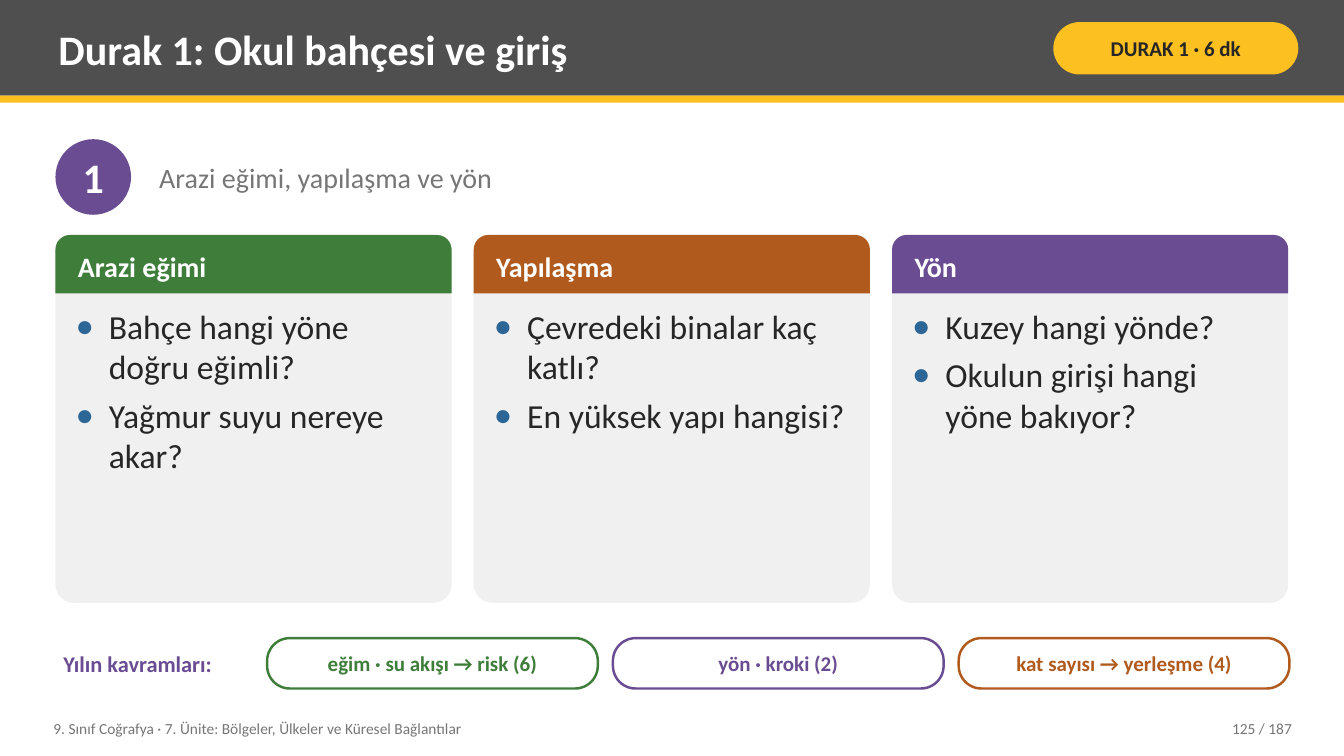
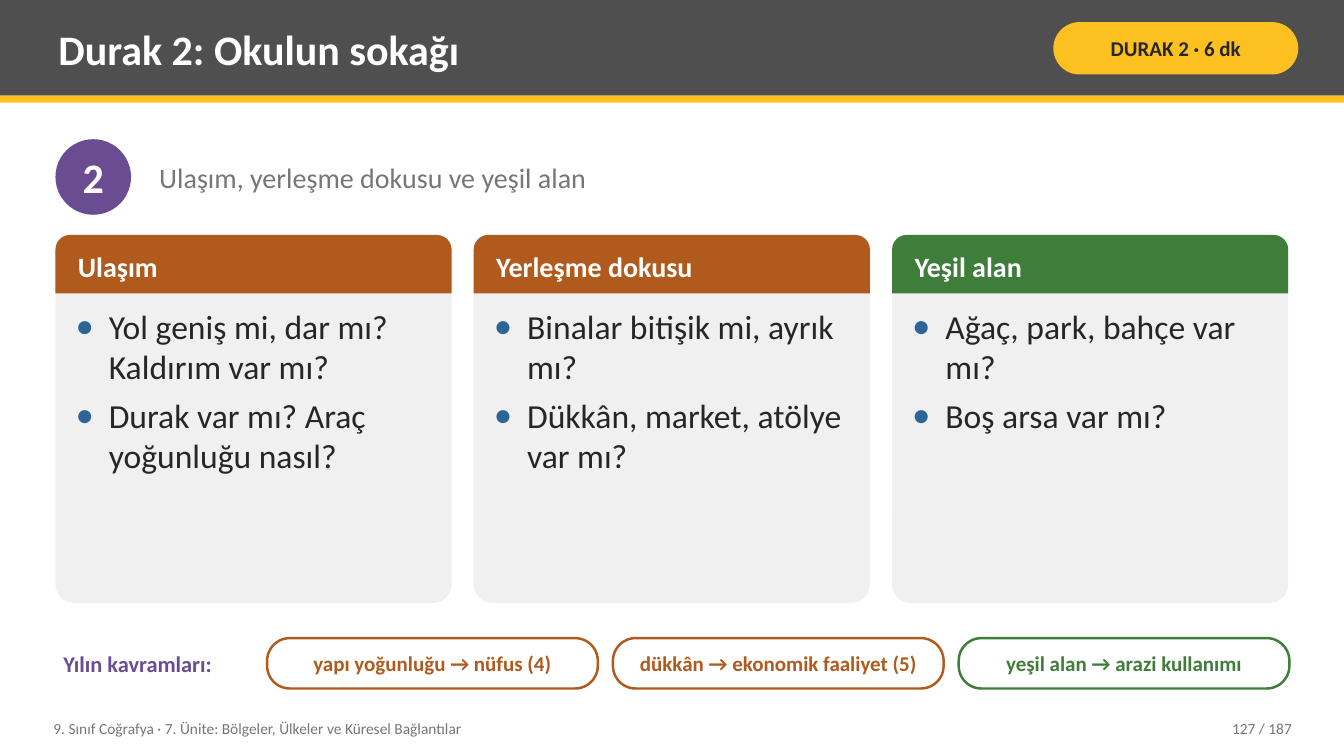
from lxml import etree
from pptx import Presentation
from pptx.dml.color import RGBColor
from pptx.enum.shapes import MSO_SHAPE
from pptx.enum.text import MSO_ANCHOR, MSO_AUTO_SIZE, PP_ALIGN
from pptx.oxml.ns import qn
from pptx.util import Pt

RECTANGLE = MSO_SHAPE.RECTANGLE
ROUNDED = MSO_SHAPE.ROUNDED_RECTANGLE
ROUNDED_TOP = MSO_SHAPE.ROUND_2_SAME_RECTANGLE
OVAL = MSO_SHAPE.OVAL
TOP, MIDDLE = MSO_ANCHOR.TOP, MSO_ANCHOR.MIDDLE
LEFT, CENTER, RIGHT = PP_ALIGN.LEFT, PP_ALIGN.CENTER, PP_ALIGN.RIGHT

FONT = "Calibri"
WHITE, INK, GRAY = "FFFFFF", "262626", "767676"
BAND, YELLOW, PANEL, BULLET = "4F4F4F", "FCC021", "F0F0F0", "2C6696"
GREEN, ORANGE, PURPLE = "3E7D3A", "B05A1E", "6A4C93"

PAGE_WIDTH, PAGE_HEIGHT = 960, 540
MARGIN = 39.6
CARD_TOP, CARD_WIDTH, CARD_HEIGHT, CARD_STEP = 167.8, 283, 262.8, 298.8
HEADER_HEIGHT = 41.8
CONCEPT_TOP, CONCEPT_HEIGHT = 455.8, 36
CONCEPT_LEFT, CONCEPT_WIDTH, CONCEPT_STEP = 190.8, 236.2, 247
TEXT_INSETS = (5.76, 2.88)
FOOTER = "9. Sınıf Coğrafya · 7. Ünite: Bölgeler, Ülkeler ve Küresel Bağlantılar"


def color(value):
    return RGBColor.from_string(value)


def add_bullet(paragraph, indent=23.8):
    """Give a paragraph a hanging, coloured bullet."""
    properties = paragraph._p.get_or_add_pPr()
    properties.set("marL", str(Pt(indent)))
    properties.set("indent", str(-Pt(indent)))
    bullet_color = etree.SubElement(properties, qn("a:buClr"))
    etree.SubElement(bullet_color, qn("a:srgbClr"), val=BULLET)
    etree.SubElement(properties, qn("a:buSzPct"), val="110000")
    etree.SubElement(properties, qn("a:buFont"), typeface=FONT)
    etree.SubElement(properties, qn("a:buChar"), char="•")


def write(shape, *lines, size, ink=INK, bold=False, align=LEFT, anchor=MIDDLE,
          insets=TEXT_INSETS, wrap=True, bullets=False, gap=0):
    """Fill a shape with one paragraph per line."""
    frame = shape.text_frame
    frame.auto_size = MSO_AUTO_SIZE.NONE
    frame.word_wrap = wrap
    frame.vertical_anchor = anchor
    frame.margin_left = frame.margin_right = Pt(insets[0])
    frame.margin_top = frame.margin_bottom = Pt(insets[1])
    for index, line in enumerate(lines):
        paragraph = frame.add_paragraph() if index else frame.paragraphs[0]
        paragraph.text = line
        paragraph.alignment = align
        paragraph.space_before = Pt(0)
        paragraph.space_after = Pt(gap)
        if bullets:
            add_bullet(paragraph)
        font = paragraph.font
        font.name, font.size, font.bold = FONT, Pt(size), bold
        font.color.rgb = color(ink)


class Deck:
    """Holds the presentation, its style and the current slide."""

    def __init__(self):
        self.presentation = Presentation()
        self.presentation.slide_width = Pt(PAGE_WIDTH)
        self.presentation.slide_height = Pt(PAGE_HEIGHT)
        self.slide = None

    def shape(self, kind, left, top, width, height, fill, line=None, corners=()):
        shape = self.slide.shapes.add_shape(
            kind, Pt(left), Pt(top), Pt(width), Pt(height))
        shape.shadow.inherit = False
        shape.fill.solid()
        shape.fill.fore_color.rgb = color(fill)
        if line:
            shape.line.color.rgb = color(line)
            shape.line.width = Pt(1.75)
        else:
            shape.line.fill.background()
        for index, corner in enumerate(corners):
            shape.adjustments[index] = corner
        return shape

    def text(self, left, top, width, height, *lines, **style):
        box = self.slide.shapes.add_textbox(
            Pt(left), Pt(top), Pt(width), Pt(height))
        write(box, *lines, **style)

    def title(self, text):
        title = self.slide.shapes.title
        title.left, title.top = Pt(36), Pt(5)
        title.width, title.height = Pt(702), Pt(59)
        write(title, text, size=30, ink=WHITE, bold=True)
        # Bring the title in front of the band
        title.element.getparent().append(title.element)

    def start(self, title, badge, page):
        """Add a slide with its band, title, badge and footer."""
        layout = self.presentation.slide_layouts.get_by_name("Title Only")
        self.slide = self.presentation.slides.add_slide(layout)
        self.shape(RECTANGLE, 0, 0, PAGE_WIDTH, 68.4, BAND)
        self.shape(RECTANGLE, 0, 68.4, PAGE_WIDTH, 5, YELLOW)
        self.title(title)
        pill = self.shape(ROUNDED, 752.4, 15.8, 175, 37.4, YELLOW, corners=[0.5])
        write(pill, badge, size=15, bold=True, align=CENTER, insets=(3.6, 1.4))
        self.text(32.4, 507, 547, 26, FOOTER, size=11, ink=GRAY)
        self.text(813.6, 507, 115, 26, page, size=11, ink=GRAY, align=RIGHT)

    def stop_heading(self, number, subtitle):
        circle = self.shape(OVAL, MARGIN, 99.4, 54, 54, PURPLE)
        write(circle, str(number), size=30, ink=WHITE, bold=True,
              align=CENTER, insets=(0, 0), wrap=False)
        self.text(108, 99.4, 812, 54, subtitle, size=20, ink=GRAY)

    def card(self, column, heading, accent, questions):
        left = MARGIN + column * CARD_STEP
        self.shape(ROUNDED, left, CARD_TOP, CARD_WIDTH, CARD_HEIGHT, PANEL,
                   corners=[0.05])
        header = self.shape(ROUNDED_TOP, left, CARD_TOP, CARD_WIDTH,
                            HEADER_HEIGHT, accent, corners=[0.25, 0])
        write(header, heading, size=20, ink=WHITE, bold=True, insets=(13, 2.88))
        self.text(left + 8.6, CARD_TOP + 47.5, CARD_WIDTH - 17.3, 209.5,
                  *questions, size=24, anchor=TOP, bullets=True, gap=6)

    def concepts(self, items):
        self.text(MARGIN, CONCEPT_TOP, 147.6, CONCEPT_HEIGHT,
                  "Yılın kavramları:", size=16, ink=PURPLE, bold=True)
        for column, (label, accent) in enumerate(items):
            pill = self.shape(ROUNDED, CONCEPT_LEFT + column * CONCEPT_STEP,
                              CONCEPT_TOP, CONCEPT_WIDTH, CONCEPT_HEIGHT,
                              WHITE, line=accent, corners=[0.45])
            write(pill, label, size=15, ink=accent, bold=True, align=CENTER,
                  insets=(4.3, 0))

    def stop(self, number, name, page, subtitle, cards, concepts):
        """Build the whole slide of one stop on the walk."""
        self.start(f"Durak {number}: {name}", f"DURAK {number} · 6 dk",
                   f"{page} / 187")
        self.stop_heading(number, subtitle)
        for column, card in enumerate(cards):
            self.card(column, *card)
        self.concepts(concepts)


def main():
    deck = Deck()

    # Stop 1
    deck.stop(
        1, "Okul bahçesi ve giriş", 125, "Arazi eğimi, yapılaşma ve yön",
        cards=[
            ("Arazi eğimi", GREEN,
             ["Bahçe hangi yöne doğru eğimli?", "Yağmur suyu nereye akar?"]),
            ("Yapılaşma", ORANGE,
             ["Çevredeki binalar kaç katlı?", "En yüksek yapı hangisi?"]),
            ("Yön", PURPLE,
             ["Kuzey hangi yönde?", "Okulun girişi hangi yöne bakıyor?"]),
        ],
        concepts=[("eğim · su akışı → risk (6)", GREEN),
                  ("yön · kroki (2)", PURPLE),
                  ("kat sayısı → yerleşme (4)", ORANGE)])

    # Stop 2
    deck.stop(
        2, "Okulun sokağı", 127, "Ulaşım, yerleşme dokusu ve yeşil alan",
        cards=[
            ("Ulaşım", ORANGE,
             ["Yol geniş mi, dar mı? Kaldırım var mı?",
              "Durak var mı? Araç yoğunluğu nasıl?"]),
            ("Yerleşme dokusu", ORANGE,
             ["Binalar bitişik mi, ayrık mı?", "Dükkân, market, atölye var mı?"]),
            ("Yeşil alan", GREEN,
             ["Ağaç, park, bahçe var mı?", "Boş arsa var mı?"]),
        ],
        concepts=[("yapı yoğunluğu → nüfus (4)", ORANGE),
                  ("dükkân → ekonomik faaliyet (5)", ORANGE),
                  ("yeşil alan → arazi kullanımı", GREEN)])

    deck.presentation.save("out.pptx")


if __name__ == "__main__":
    main()
